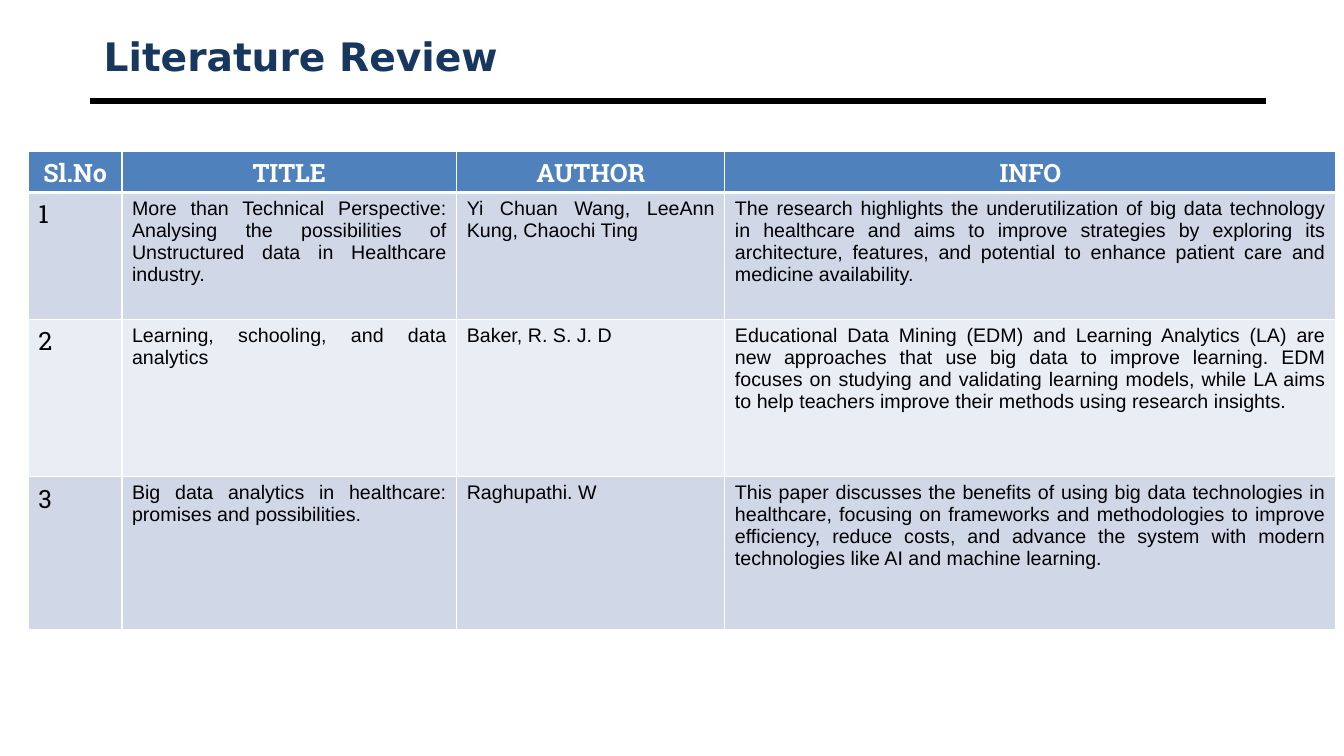
from lxml import etree
from pptx import Presentation
from pptx.dml.color import RGBColor
from pptx.enum.shapes import MSO_CONNECTOR
from pptx.enum.text import MSO_ANCHOR, PP_ALIGN
from pptx.oxml.ns import qn
from pptx.util import Inches, Pt

STRAIGHT = MSO_CONNECTOR.STRAIGHT
MIDDLE = MSO_ANCHOR.MIDDLE
LEFT, CENTER, JUSTIFY = PP_ALIGN.LEFT, PP_ALIGN.CENTER, PP_ALIGN.JUSTIFY

NAVY = RGBColor(0x17, 0x37, 0x5E)
BLUE = RGBColor(0x4F, 0x81, 0xBD)
BAND_DARK = RGBColor(0xD0, 0xD8, 0xE8)
BAND_LIGHT = RGBColor(0xE9, 0xED, 0xF4)
BLACK = RGBColor(0, 0, 0)
WHITE = RGBColor(0xFF, 0xFF, 0xFF)

COLUMN_WIDTHS = [0.93, 3.32, 2.66, 6.06]
ROW_HEIGHTS = [0.41, 1.26, 1.56, 1.52]
HEADINGS = ["Sl.No", "TITLE", "AUTHOR", "INFO"]
PAPERS = [
    ["1",
     "More than Technical Perspective: Analysing the possibilities of "
     "Unstructured data in Healthcare industry.",
     "Yi Chuan Wang, LeeAnn Kung, Chaochi Ting",
     "The research highlights the underutilization of big data technology in "
     "healthcare and aims to improve strategies by exploring its architecture, "
     "features, and potential to enhance patient care and medicine availability."],
    ["2",
     "Learning, schooling, and data analytics",
     "Baker, R. S. J. D",
     "Educational Data Mining (EDM) and Learning Analytics (LA) are new approaches "
     "that use big data to improve learning. EDM focuses on studying and validating "
     "learning models, while LA aims to help teachers improve their methods using "
     "research insights."],
    ["3",
     "Big data analytics in healthcare: promises and possibilities.",
     "Raghupathi. W",
     "This paper discusses the benefits of using big data technologies in healthcare, "
     "focusing on frameworks and methodologies to improve efficiency, reduce costs, "
     "and advance the system with modern technologies like AI and machine learning."],
]


def write(frame, text, font, size, color, bold=False, align=LEFT):
    para = frame.paragraphs[0]
    para.text = text
    para.alignment = align
    span = para.runs[0]
    span.font.name = font
    span.font.size = Pt(size)
    span.font.bold = bold
    span.font.color.rgb = color


def add_borders(cell, top, bottom):
    """Draw white cell edges; the widths are in points."""
    properties = cell._tc.get_or_add_tcPr()
    widths = {"a:lnL": 1, "a:lnR": 1, "a:lnT": top, "a:lnB": bottom}
    for position, (tag, width) in enumerate(widths.items()):
        edge = etree.Element(qn(tag), w=str(Pt(width)))
        fill = etree.SubElement(edge, qn("a:solidFill"))
        etree.SubElement(fill, qn("a:srgbClr"), val=str(WHITE))
        properties.insert(position, edge)


def add_heading(page, left, top, width, height):
    # Title
    box = page.shapes.add_textbox(Inches(left), Inches(top), Inches(width), Inches(height))
    frame = box.text_frame
    frame.word_wrap = True
    frame.vertical_anchor = MIDDLE
    write(frame, "Literature Review", "DejaVu Sans", 28, NAVY, bold=True)

    # Rule below the title
    start, y = Inches(left - 0.04), Inches(top + height + 0.18)
    rule = page.shapes.add_connector(STRAIGHT, start, y, start + Inches(width), y)
    rule.line.color.rgb = BLACK
    rule.line.width = Pt(4.5)
    etree.SubElement(rule._element.spPr, qn("a:effectLst"))


def add_review_table(page, left, top):
    rows = [HEADINGS] + PAPERS
    table = page.shapes.add_table(
        len(rows), len(HEADINGS), Inches(left), Inches(top),
        Inches(sum(COLUMN_WIDTHS)), Inches(sum(ROW_HEIGHTS))).table
    for column, width in zip(table.columns, COLUMN_WIDTHS):
        column.width = Inches(width)
    for row, height in zip(table.rows, ROW_HEIGHTS):
        row.height = Inches(height)

    # Cells: header, number column and justified text
    for r, texts in enumerate(rows):
        for c, text in enumerate(texts):
            cell = table.cell(r, c)
            cell.fill.solid()
            if r == 0:
                cell.fill.fore_color.rgb = BLUE
                write(cell.text_frame, text, "Roboto Slab", 18, WHITE, True, CENTER)
            else:
                cell.fill.fore_color.rgb = BAND_DARK if r % 2 else BAND_LIGHT
                font, size, align = (("Roboto Slab", 18, LEFT) if c == 0
                                     else ("Arial", 14, JUSTIFY))
                write(cell.text_frame, text, font, size, BLACK, align=align)
            add_borders(cell, top=3 if r == 1 else 1, bottom=3 if r == 0 else 1)


def main():
    deck = Presentation()
    deck.slide_width, deck.slide_height = Inches(13.33), Inches(7.5)
    page = deck.slides.add_slide(deck.slide_layouts[6])
    add_heading(page, 0.93, 0.29, 11.67, 0.53)
    add_review_table(page, 0.28, 1.5)
    deck.save("out.pptx")


if __name__ == "__main__":
    main()
